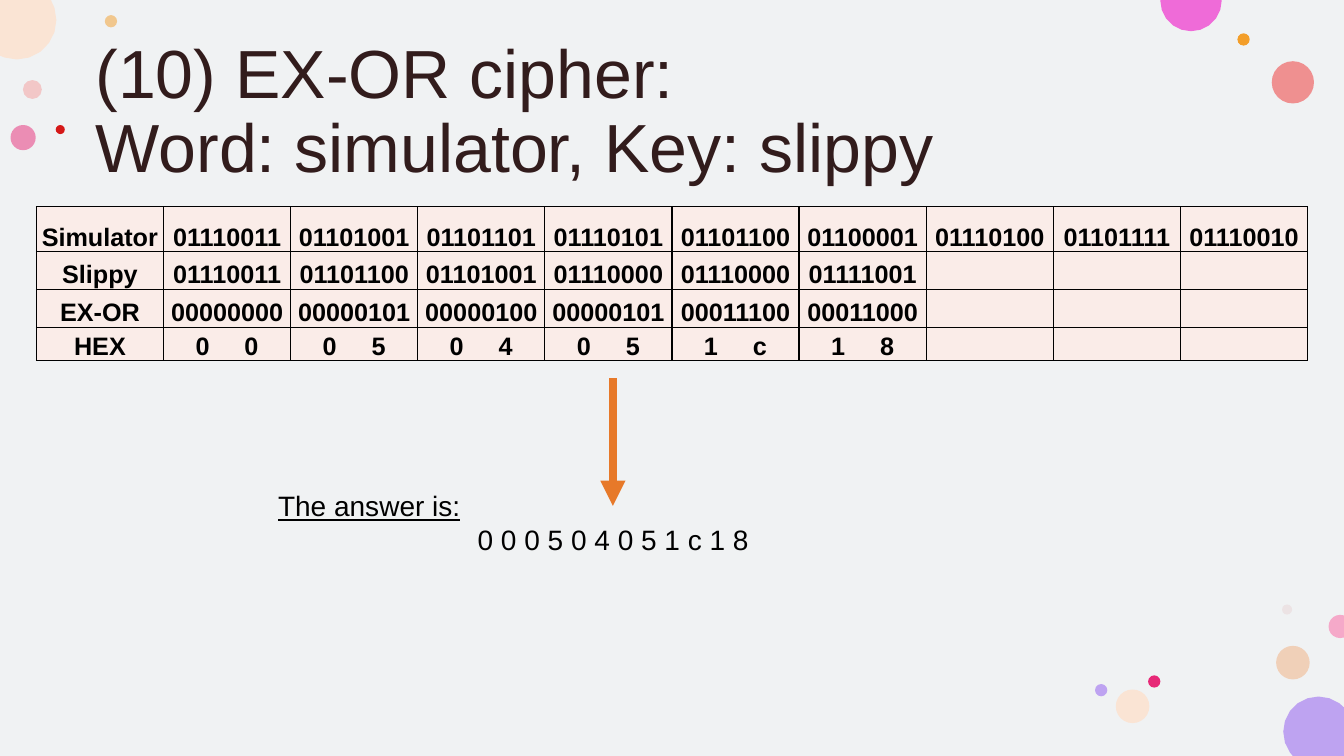
import math

import lxml.etree
import pptx
import pptx.dml.color
import pptx.enum.shapes
import pptx.enum.text
import pptx.oxml.ns
import pptx.util

Pt = pptx.util.Pt
qn = pptx.oxml.ns.qn
PRESET = pptx.enum.shapes.MSO_SHAPE
CENTER = pptx.enum.text.PP_ALIGN.CENTER
WIDTH, HEIGHT = 960, 540


def colour(value):
    return pptx.dml.color.RGBColor.from_string(value)


def add_xml(parent, tag, **attributes):
    return lxml.etree.SubElement(parent, qn(tag), attributes)


def visible_outline(x, y, radius):
    angles = [math.radians(degrees) for degrees in range(0, 360, 18)]
    for edge in (0, WIDTH):
        if abs(edge - x) < radius:
            angle = math.acos((edge - x) / radius)
            angles += [angle, -angle]
    for edge in (0, HEIGHT):
        if abs(edge - y) < radius:
            angle = math.asin((edge - y) / radius)
            angles += [angle, math.pi - angle]
    points = [(x + radius * math.cos(a), y + radius * math.sin(a)) for a in angles]
    points = [(px, py) for px, py in points
              if -0.01 <= px <= WIDTH + 0.01 and -0.01 <= py <= HEIGHT + 0.01]
    points += [(px, py) for px in (0, WIDTH) for py in (0, HEIGHT)
               if math.hypot(px - x, py - y) < radius]
    return sorted(points, key=lambda point: math.atan2(point[1] - y, point[0] - x))


class CipherSlide:
    font = "Arial"
    ink = "000000"
    title_ink = "321C1C"
    backdrop_fill = "F0F2F3"
    cell_fill = "FAECE8"
    accent = "E77929"

    def __init__(self, presentation):
        self.slide = presentation.slides.add_slide(presentation.slide_layouts[6])

    def format(self, paragraph, size, ink, bold=False, underline=False):
        for run in paragraph.runs:
            run.font.name = self.font
            run.font.size = Pt(size)
            run.font.bold = bold
            run.font.underline = underline
            run.font.color.rgb = colour(ink)

    def paint(self, shape, tint, opacity=100):
        shape.shadow.inherit = False
        shape.line.fill.background()
        shape.fill.solid()
        shape.fill.fore_color.rgb = colour(tint)
        if opacity < 100:
            tint_xml = shape.fill._xPr.find(".//" + qn("a:srgbClr"))
            add_xml(tint_xml, "a:alpha", val=str(opacity * 1000))

    def preset(self, kind, left, top, width, height):
        return self.slide.shapes.add_shape(
            kind, Pt(left), Pt(top), Pt(width), Pt(height))

    def backdrop(self):
        self.paint(self.preset(PRESET.RECTANGLE, 0, 0, WIDTH, HEIGHT), self.backdrop_fill)

    def bubble(self, left, top, diameter, tint, opacity=100):
        inside = (left >= 0 and top >= 0
                  and left + diameter <= WIDTH and top + diameter <= HEIGHT)
        if inside:
            circle = self.preset(PRESET.OVAL, left, top, diameter, diameter)
        else:
            radius = diameter / 2
            outline = [(Pt(x), Pt(y)) for x, y
                       in visible_outline(left + radius, top + radius, radius)]
            builder = self.slide.shapes.build_freeform(*outline[0])
            builder.add_line_segments(outline[1:], close=True)
            circle = builder.convert_to_shape()
        self.paint(circle, tint, opacity)

    def text_frame(self, left, top, width, height):
        box = self.slide.shapes.add_textbox(Pt(left), Pt(top), Pt(width), Pt(height))
        box.text_frame.word_wrap = True
        return box.text_frame

    def title(self, wording, left, top, width, height):
        frame = self.text_frame(left, top, width, height)
        frame.vertical_anchor = pptx.enum.text.MSO_ANCHOR.MIDDLE
        heading = frame.paragraphs[0]
        heading.text = wording
        heading.line_spacing = 0.9
        self.format(heading, 48.6, self.title_ink)

    def answer(self, label, digits, left, top, width, height):
        frame = self.text_frame(left, top, width, height)
        frame.auto_size = pptx.enum.text.MSO_AUTO_SIZE.SHAPE_TO_FIT_TEXT
        frame.text = label
        self.format(frame.paragraphs[0], 20, self.ink, underline=True)
        result = frame.add_paragraph()
        result.text = digits
        result.alignment = CENTER
        self.format(result, 20, self.ink)

    def table(self, rows, left, top, column_width, row_heights):
        columns = len(rows[0])
        grid = self.slide.shapes.add_table(
            len(rows), columns, Pt(left), Pt(top),
            Pt(column_width * columns), Pt(sum(row_heights))).table
        for column in grid.columns:
            column.width = Pt(column_width)
        for row, height, wordings in zip(grid.rows, row_heights, rows):
            row.height = Pt(height)
            padded = wordings + [""] * (columns - len(wordings))
            for cell, wording in zip(row.cells, padded):
                self.cell(cell, wording)

    def cell(self, cell, wording):
        cell.margin_left = cell.margin_right = cell.margin_top = Pt(0.7)
        cell.margin_bottom = 0
        cell.vertical_anchor = pptx.enum.text.MSO_ANCHOR.BOTTOM
        properties = cell._tc.get_or_add_tcPr()
        for side in ("a:lnL", "a:lnR", "a:lnT", "a:lnB"):
            border = add_xml(properties, side, w=str(Pt(1)))
            add_xml(add_xml(border, "a:solidFill"), "a:srgbClr", val=self.ink)
        cell.fill.solid()
        cell.fill.fore_color.rgb = colour(self.cell_fill)
        if not wording:
            return
        entry = cell.text_frame.paragraphs[0]
        entry.text = wording
        entry.alignment = CENTER
        self.format(entry, 18, self.ink, bold=True)
        if " " in wording:
            entry.runs[0]._r.get_or_add_rPr().set("spc", "1000")

    def arrow(self, x, top, bottom):
        pointer = self.slide.shapes.add_connector(
            pptx.enum.shapes.MSO_CONNECTOR.STRAIGHT, Pt(x), Pt(top), Pt(x), Pt(bottom))
        pointer.line.color.rgb = colour(self.accent)
        pointer.line.width = Pt(6)
        add_xml(pointer.line._get_or_add_ln(), "a:tailEnd", type="triangle")
        add_xml(pointer._element.spPr, "a:effectLst")


BUBBLES = [
    (16.4, 57.2, 13.5, "F49D9C", 50),
    (74.9, 10.8, 8.8, "F39E29", 50),
    (911.5, 461.3, 24, "F1AF7F", 50),
    (7.5, 89.3, 18, "E72977", 50),
    (908.4, 43.7, 30.2, "EF6B6B", 72),
    (883.9, 23.8, 8.8, "F39E29"),
    (915.8, 431.8, 7.2, "E3BEBE", 28),
    (820.1, 482.4, 8.8, "E72977"),
    (797, 492.5, 24, "FAE4D4"),
    (782.2, 488.6, 8.8, "BEA3F1"),
    (916.6, 497.5, 50.4, "BEA3F1"),
    (-16.1, -13.9, 56.4, "FAE4D4"),
    (828.8, -21.6, 43.9, "EF6BD8"),
    (39.8, 89.3, 6.5, "D51817"),
    (949, 439.2, 16.6, "F5A9C9"),
]


def main():
    presentation = pptx.Presentation()
    presentation.slide_width = Pt(WIDTH)
    presentation.slide_height = Pt(HEIGHT)
    cipher = CipherSlide(presentation)

    cipher.backdrop()
    for bubble in BUBBLES:
        cipher.bubble(*bubble)

    word, key = "simulator", "slippy"
    mixed = [ord(a) ^ ord(b) for a, b in zip(word, key)]
    hex_pairs = [f"{value:02x}" for value in mixed]
    rows = [
        ["Simulator"] + [f"{ord(letter):08b}" for letter in word],
        ["Slippy"] + [f"{ord(letter):08b}" for letter in key],
        ["EX-OR"] + [f"{value:08b}" for value in mixed],
        ["HEX"] + [" ".join(pair) for pair in hex_pairs],
    ]

    cipher.title(f"(10) EX-OR cipher:\nWord: {word}, Key: {key}", 61.2, 28.8, 839.5, 104.4)
    cipher.table(rows, 26, 147.6, 90.8, [32, 27.1, 27.1, 23.9])
    cipher.arrow(437.8, 270, 361.4)
    cipher.answer("The answer is:", " ".join("".join(hex_pairs)), 191.5, 345.6, 493.2, 55.4)

    presentation.save("out.pptx")


if __name__ == "__main__":
    main()
